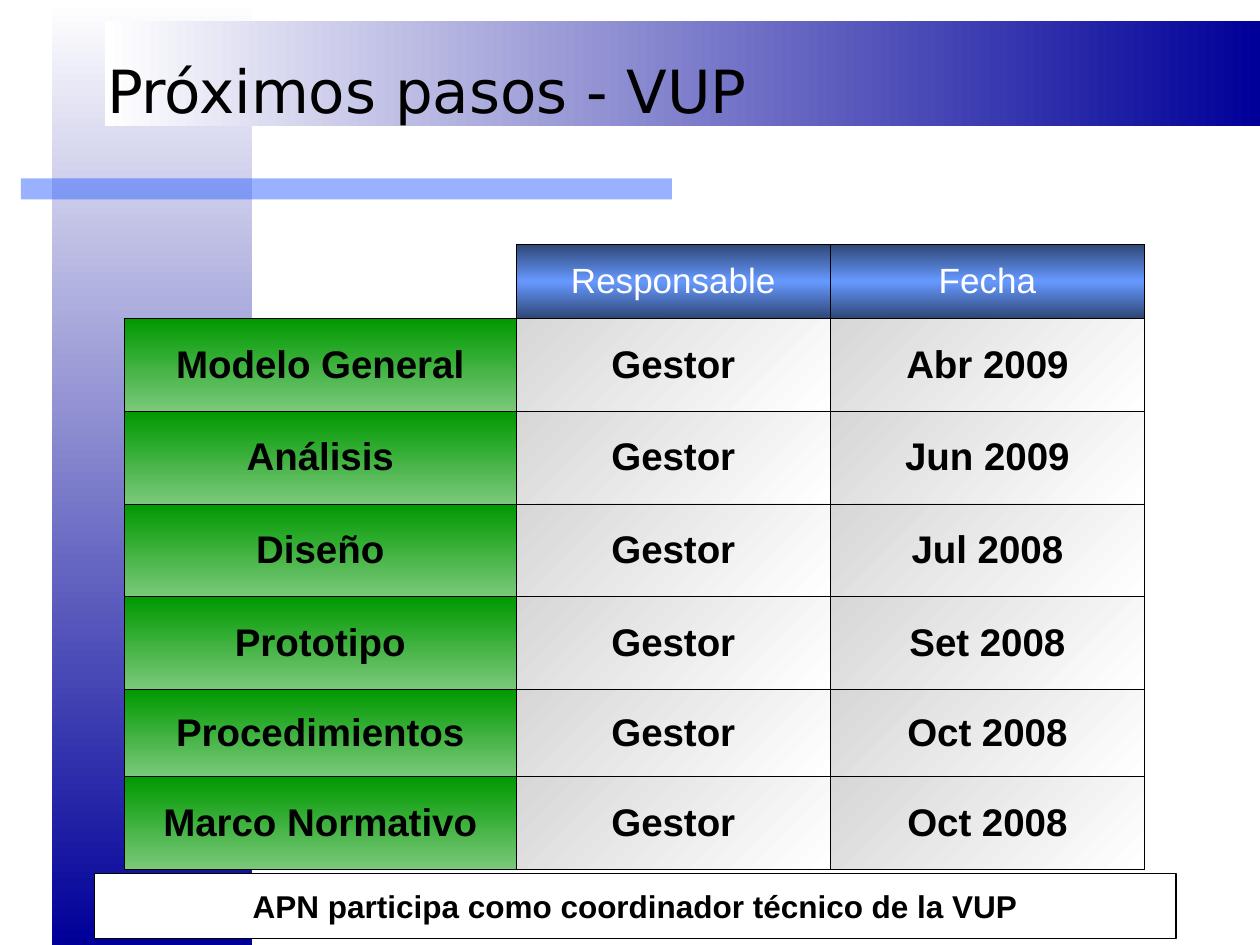
from copy import deepcopy
from dataclasses import dataclass

from lxml import etree
from pptx import Presentation
from pptx import util as u
from pptx.dml.color import RGBColor
from pptx.enum import shapes, text
from pptx.oxml.ns import qn

Pt = u.Pt


@dataclass(frozen=True)
class Theme:
    black: str = "000000"
    white: str = "FFFFFF"
    accent: str = "3366FF"
    band: tuple = ("FFFFFF", "000099")
    header: tuple = ("2F4675", "6699FF", "2F4675")
    stage: tuple = ("009900", "7BC97B")
    value: tuple = ("D7D7D7", "FFFFFF")
    title_font: str = "DejaVu Sans"
    body_font: str = "Arial"
    title_size: float = 34
    header_size: float = 20
    cell_size: float = 22
    note_size: float = 18


THEME = Theme()
NO_STYLE = "{2D5ABB26-0587-4C30-8999-92F81FD0307C}"

COLUMN_WIDTHS = (224, 179.5, 179.5)
ROW_HEIGHTS = (42.5, 53, 53, 53, 53, 50, 53)
HEADINGS = ("", "Responsable", "Fecha")
OWNER = "Gestor"
STEPS = (
    ("Modelo General", "Abr 2009"),
    ("Análisis", "Jun 2009"),
    ("Diseño", "Jul 2008"),
    ("Prototipo", "Set 2008"),
    ("Procedimientos", "Oct 2008"),
    ("Marco Normativo", "Oct 2008"),
)


def apply(target, values):
    for name, value in values.items():
        setattr(target, name, value)


def write(frame, wording, size, color, font=THEME.body_font, bold=False,
          align=text.PP_ALIGN.CENTER):
    """Fill a text frame with one formatted paragraph."""
    frame.text = wording
    paragraph = frame.paragraphs[0]
    paragraph.alignment = align
    run_font = paragraph.runs[0].font
    apply(run_font, {"name": font, "size": Pt(size), "bold": bold})
    run_font.color.rgb = RGBColor.from_string(color)


def fill_gradient(fill, element, colors, angle):
    """Spread the colours evenly; the angle runs counter-clockwise."""
    fill.gradient()
    stop_list = next(element.iter(qn("a:gsLst")))
    for _ in colors[2:]:
        stop_list.append(deepcopy(stop_list[0]))
    for index, (stop, color) in enumerate(zip(fill.gradient_stops, colors)):
        stop.position = index / (len(colors) - 1)
        stop.color.rgb = RGBColor.from_string(color)
    fill.gradient_angle = angle


def add_box(slide, left, top, width, height, color=None):
    shape = slide.shapes.add_shape(shapes.MSO_SHAPE.RECTANGLE,
                                   Pt(left), Pt(top), Pt(width), Pt(height))
    shape.shadow.inherit = False
    shape.line.fill.background()
    if color:
        shape.fill.solid()
        shape.fill.fore_color.rgb = RGBColor.from_string(color)
    return shape


def add_band(slide, left, top, width, height, angle):
    band = add_box(slide, left, top, width, height)
    fill_gradient(band.fill, band._element, THEME.band, angle)


def add_accent_bar(slide):
    bar = add_box(slide, 12, 102, 372, 12, THEME.accent)
    color = next(bar._element.spPr.iter(qn("a:srgbClr")))
    etree.SubElement(color, qn("a:alpha"), val="50000")


def place_title(slide, wording):
    title = slide.shapes.title
    apply(title, {"left": Pt(54), "top": Pt(6),
                  "width": Pt(612), "height": Pt(90)})
    apply(title.text_frame, {"auto_size": text.MSO_AUTO_SIZE.NONE,
                             "vertical_anchor": text.MSO_ANCHOR.MIDDLE})
    write(title.text_frame, wording, THEME.title_size, THEME.black,
          THEME.title_font, align=text.PP_ALIGN.LEFT)
    # Bring the title in front of the bands
    slide.shapes._spTree.append(title._element)


def set_borders(cell, sides):
    properties = cell._tc.get_or_add_tcPr()
    for side in sides:
        line = etree.SubElement(properties, qn(f"a:ln{side}"),
                                w=str(Pt(0.45)))
        solid = etree.SubElement(line, qn("a:solidFill"))
        etree.SubElement(solid, qn("a:srgbClr"), val=THEME.black)


def format_cell(cell, wording, row, column):
    if not wording:
        set_borders(cell, "RB")
        cell.fill.background()
        return
    set_borders(cell, "LRTB")
    cell.vertical_anchor = text.MSO_ANCHOR.MIDDLE
    if row == 0:
        colors, angle = THEME.header, 270
        write(cell.text_frame, wording, THEME.header_size, THEME.white)
    else:
        colors, angle = (THEME.stage, 270) if column == 0 else (THEME.value, 315)
        write(cell.text_frame, wording, THEME.cell_size, THEME.black, bold=True)
    fill_gradient(cell.fill, cell._tc, colors, angle)


def add_schedule(slide):
    rows = [HEADINGS] + [(stage, OWNER, date) for stage, date in STEPS]
    frame = slide.shapes.add_table(
        len(rows), len(HEADINGS), Pt(71), Pt(139.5),
        Pt(sum(COLUMN_WIDTHS)), Pt(sum(ROW_HEIGHTS)))
    table = frame.table
    apply(table, {"first_row": False, "horz_banding": False})
    next(table._tbl.iter(qn("a:tableStyleId"))).text = NO_STYLE
    for column, width in zip(table.columns, COLUMN_WIDTHS):
        column.width = Pt(width)
    for row, height in zip(table.rows, ROW_HEIGHTS):
        row.height = Pt(height)
    for row, wordings in enumerate(rows):
        for column, wording in enumerate(wordings):
            format_cell(table.cell(row, column), wording, row, column)


def add_note(slide, wording):
    note = add_box(slide, 54, 499, 618, 37.5, THEME.white)
    note.line.color.rgb = RGBColor.from_string(THEME.black)
    note.line.width = Pt(0.75)
    apply(note.text_frame, {"word_wrap": False,
                            "vertical_anchor": text.MSO_ANCHOR.MIDDLE})
    write(note.text_frame, wording, THEME.note_size, THEME.black, bold=True)


def main():
    presentation = Presentation()
    apply(presentation, {"slide_width": Pt(720), "slide_height": Pt(540)})
    slide = presentation.slides.add_slide(presentation.slide_layouts[5])

    # Background bands
    add_band(slide, 30, 0, 114, 540, 270)
    add_accent_bar(slide)
    add_band(slide, 60, 12, 660, 60, 0)

    # Title, schedule and closing note
    place_title(slide, "Próximos pasos - VUP")
    add_schedule(slide)
    add_note(slide, "APN participa como coordinador técnico de la VUP")

    presentation.save("out.pptx")


if __name__ == "__main__":
    main()
